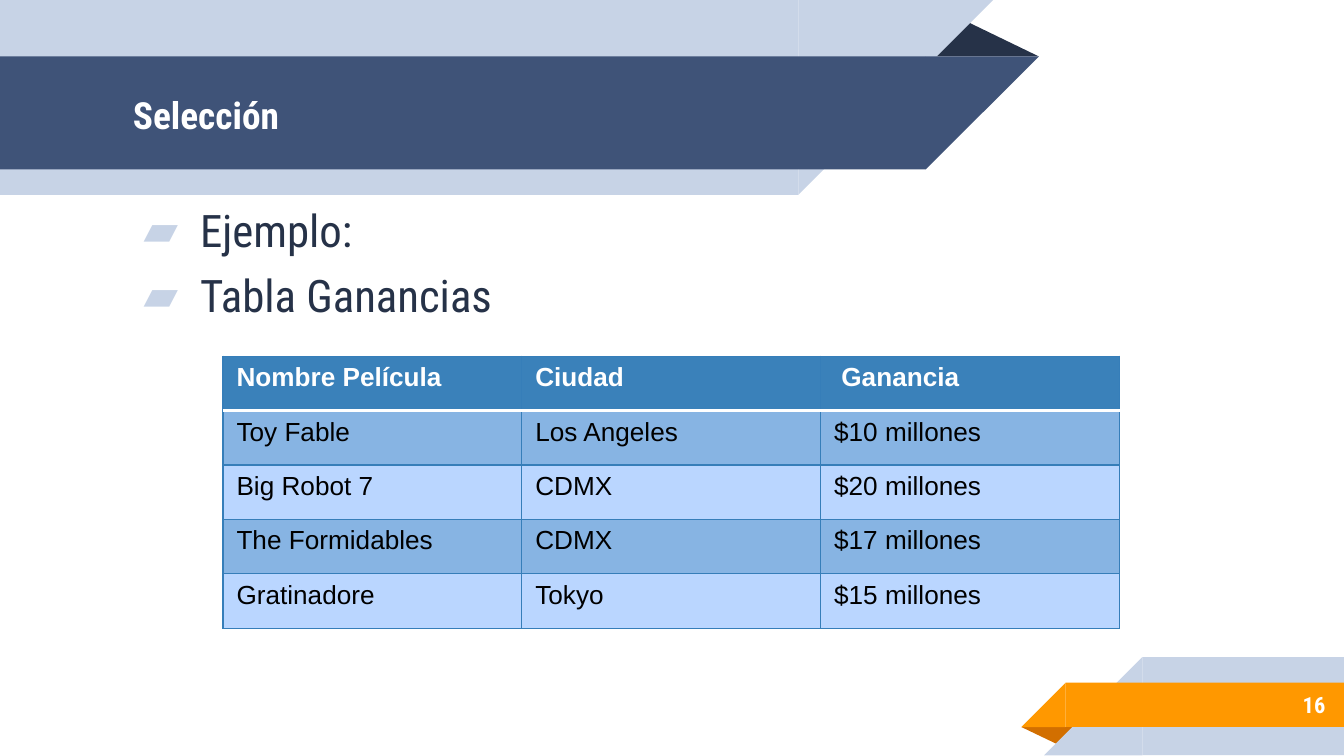
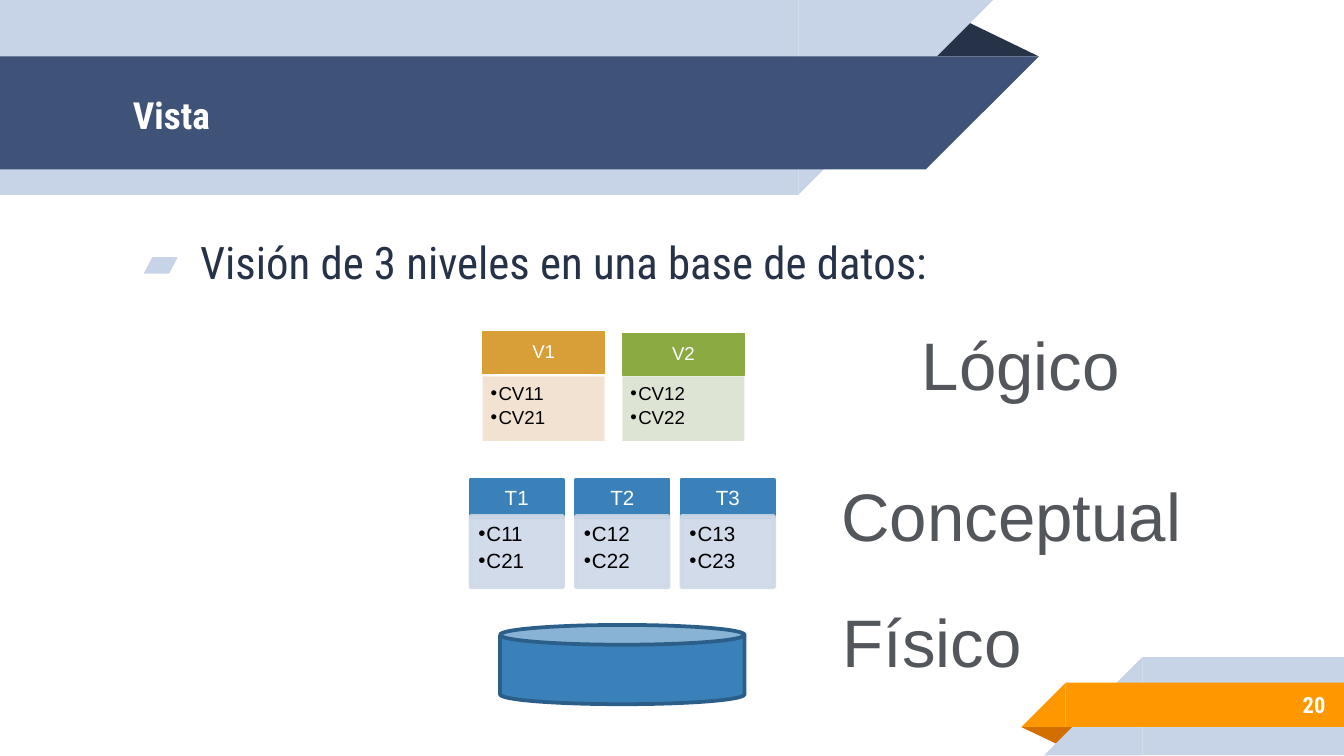
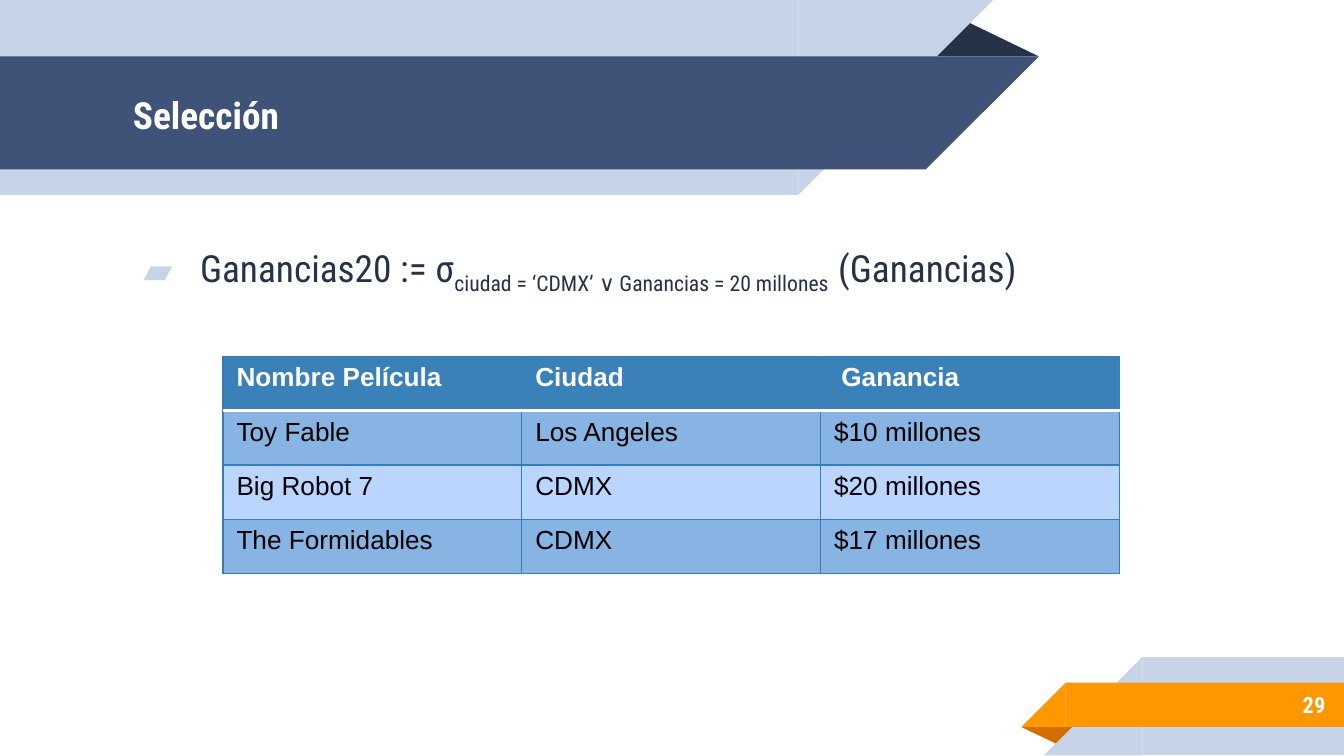
import pptx
import pptx.dml.color
import pptx.enum.shapes
import pptx.enum.text
import pptx.oxml
import pptx.oxml.ns
import pptx.util
from lxml import etree

Inches = pptx.util.Inches
Pt = pptx.util.Pt
MSO = pptx.enum.shapes.MSO_SHAPE
ANCHOR = pptx.enum.text.MSO_ANCHOR
ALIGN = pptx.enum.text.PP_ALIGN
qn = pptx.oxml.ns.qn

HEAD_FONT = "Roboto Condensed"
BODY_FONT = "Arial"
WHITE, BLACK, INK = "FFFFFF", "000000", "263248"
NAVY, PALE, ORANGE, RUST = "3F5378", "C7D3E6", "FF9800", "D26F00"
BLUE, BLUE_EDGE, CAN_EDGE = "3A81BA", "367EB9", "2B5F8A"
ROW_FILLS = ["87B4E3", "BAD6FF"]
PANEL, GRAY = "CED8E7", "53575C"

EARNINGS = [
    ["Nombre Película", "Ciudad", " Ganancia"],
    ["Toy Fable", "Los Angeles", "$10 millones"],
    ["Big Robot 7", "CDMX", "$20 millones"],
    ["The Formidables", "CDMX", "$17 millones"],
    ["Gratinadore", "Tokyo", "$15 millones"],
]


def rgb(value):
    return pptx.dml.color.RGBColor.from_string(value)


def set_alpha(fill_format, percent):
    color = fill_format._xPr.find(qn("a:solidFill"))[0]
    etree.SubElement(color, qn("a:alpha")).set("val", str(percent * 1000))


def add_block(shapes, kind, box, fill, line=None, width=0, alpha=100, flip=None):
    sp = shapes.add_shape(kind, *[Inches(v) for v in box])
    sp.shadow.inherit = False
    sp.fill.solid()
    sp.fill.fore_color.rgb = rgb(fill)
    if alpha < 100:
        set_alpha(sp.fill, alpha)
    if line:
        sp.line.color.rgb = rgb(line)
        sp.line.width = Pt(width)
    else:
        sp.line.fill.background()
    if flip:
        sp._element.spPr.find(qn("a:xfrm")).set(flip, "1")
    return sp


def set_frame(sp, insets, anchor=ANCHOR.MIDDLE, wrap=True):
    tf = sp.text_frame
    tf.word_wrap = wrap
    tf.vertical_anchor = anchor
    tf.margin_left, tf.margin_top, tf.margin_right, tf.margin_bottom = [
        Inches(v) for v in insets]
    return tf


def add_text(slide, box, insets, anchor=ANCHOR.MIDDLE, wrap=True):
    sp = slide.shapes.add_textbox(*[Inches(v) for v in box])
    return set_frame(sp, insets, anchor, wrap)


def add_run(p, text, size, color, font=BODY_FONT, bold=False, baseline=None):
    r = p.add_run()
    r.text = text
    r.font.size = Pt(size)
    r.font.name = font
    r.font.bold = bold
    r.font.color.rgb = rgb(color)
    if baseline:
        r.font._element.set("baseline", str(baseline * 1000))


def next_paragraph(tf, index):
    return tf.add_paragraph() if index else tf.paragraphs[0]


def set_bullet(p, char, color, font, left, hang):
    pPr = p._p.get_or_add_pPr()
    pPr.set("marL", str(Inches(left)))
    pPr.set("indent", str(-Inches(hang)))
    clr = etree.SubElement(pPr, qn("a:buClr"))
    etree.SubElement(clr, qn("a:srgbClr")).set("val", color)
    etree.SubElement(pPr, qn("a:buFont")).set("typeface", font)
    etree.SubElement(pPr, qn("a:buChar")).set("char", char)


def add_header_band(slide):
    shapes = slide.shapes.add_group_shape().shapes
    fold = add_block(shapes, MSO.ISOSCELES_TRIANGLE, (6.88, 0.14, 0.85, 0.28), INK)
    fold.adjustments[0] = 0.32
    for top, width, height, fill in [(0, 5.94, 1.45, PALE), (0.42, 6.89, 0.84, NAVY)]:
        add_block(shapes, MSO.RECTANGLE, (0, top, width, height), fill)
        add_block(shapes, MSO.RIGHT_TRIANGLE, (width, top, height, height), fill,
                  flip="flipV")


def add_footer_band(slide):
    shapes = slide.shapes.add_group_shape().shapes
    fold = add_block(shapes, MSO.ISOSCELES_TRIANGLE, (7.6, 5.41, 0.43, 0.14), RUST)
    fold.rotation = 180
    fold.adjustments[0] = 0.32
    for left, top, height, fill in [(8.5, 4.89, 0.73, PALE), (7.93, 5.08, 0.33, ORANGE)]:
        add_block(shapes, MSO.RECTANGLE, (left, top, 10 - left, height), fill)
        add_block(shapes, MSO.RIGHT_TRIANGLE, (left - height, top, height, height), fill,
                  flip="flipH")


def add_slide(prs, title, number):
    slide = prs.slides.add_slide(prs.slide_layouts[6])
    add_header_band(slide)
    add_footer_band(slide)
    insets = [0.1] * 4
    tf = add_text(slide, (0.89, 0.43, 6.01, 0.84), insets)
    add_run(tf.paragraphs[0], title, 20, WHITE, HEAD_FONT, True)
    p = add_text(slide, (8.33, 5.07, 1.63, 0.35), insets).paragraphs[0]
    p.alignment = ALIGN.RIGHT
    add_run(p, number, 12, WHITE, HEAD_FONT, True)
    return slide


def add_body(slide, lines, size, inset_top, width=6.71):
    tf = add_text(slide, (0.89, 1.45, width, 3.44), (0.1, inset_top, 0.1, 0.1), ANCHOR.TOP)
    for i, runs in enumerate(lines):
        p = next_paragraph(tf, i)
        p.space_before = Pt(6)
        set_bullet(p, "▰", PALE, HEAD_FONT, 0.5, 0.42)
        for text, baseline in runs:
            add_run(p, text, size, INK, HEAD_FONT, baseline=baseline)


def set_border(cell, side, color, width):
    tcPr = cell._tc.get_or_add_tcPr()
    ln = etree.SubElement(tcPr, qn("a:ln" + side))
    ln.set("w", str(Pt(width)))
    fill = etree.SubElement(ln, qn("a:solidFill"))
    etree.SubElement(fill, qn("a:srgbClr")).set("val", color)


def add_earnings_table(slide, rows):
    row_height = 0.405
    frame = slide.shapes.add_table(len(rows), 3, Inches(1.66), Inches(2.65),
                                   Inches(6.67), Inches(row_height * len(rows)))
    table = frame.table
    table.horz_banding = False
    for i, row in enumerate(rows):
        table.rows[i].height = Inches(row_height)
        for j, text in enumerate(row):
            cell = table.cell(i, j)
            for side in "LRTB":
                under_header = (i, side) in [(0, "B"), (1, "T")]
                set_border(cell, side, *((WHITE, 2) if under_header else (BLUE_EDGE, 0.75)))
            cell.fill.solid()
            cell.fill.fore_color.rgb = rgb(ROW_FILLS[(i - 1) % 2] if i else BLUE)
            add_run(cell.text_frame.paragraphs[0], text, 14, BLACK if i else WHITE,
                    bold=i == 0)


def add_card(shapes, name, fields, head_box, body_box, colors, size, line_width, edge):
    head_color, body_color = colors
    head = add_block(shapes, MSO.RECTANGLE, head_box, head_color, head_color, line_width)
    p = set_frame(head, (0.08, 0.04, 0.08, 0.04)).paragraphs[0]
    p.alignment = ALIGN.CENTER
    p.line_spacing = 0.9
    add_run(p, name, size, WHITE)
    body = add_block(shapes, MSO.RECTANGLE, body_box, body_color, edge, line_width, alpha=90)
    if edge:
        set_alpha(body.line.fill, 90)
    tf = set_frame(body, (0.06, 0.06, 0.08, 0.1), ANCHOR.TOP)
    for i, field in enumerate(fields):
        p = next_paragraph(tf, i)
        p.alignment = ALIGN.LEFT
        p.line_spacing = 0.9
        p.space_after = Pt(size * 0.2)
        set_bullet(p, "•", BLACK, BODY_FONT, 0.06, 0.06)
        add_run(p, field, size, BLACK)


def add_tables_level(slide):
    shapes = slide.shapes.add_group_shape().shapes
    for i in range(3):
        n, left = i + 1, 3.5 + 0.785 * i
        add_card(shapes, f"T{n}", [f"C1{n}", f"C2{n}"], (left, 3.57, 0.69, 0.28),
                 (left, 3.84, 0.69, 0.53), (BLUE, PANEL), 11, 2, PANEL)


def add_views_level(slide):
    shapes = slide.shapes.add_group_shape().shapes
    for i, colors in enumerate([("D89F39", "F0DFCE"), ("8BAB42", "DAE2CF")]):
        n, left = i + 1, 3.59 + 1.04 * i
        add_card(shapes, f"V{n}", [f"CV1{n}", f"CV2{n}"], (left, 2.47 + 0.01 * i, 0.91, 0.31),
                 (left, 2.8, 0.91, 0.48), colors, 10, 0.75, None)


def add_level_label(slide, text, box):
    tf = add_text(slide, box, (0.1, 0.05, 0.1, 0.05), ANCHOR.TOP, wrap=False)
    tf.auto_size = pptx.enum.text.MSO_AUTO_SIZE.SHAPE_TO_FIT_TEXT
    p = tf.paragraphs[0]
    p.alignment = ALIGN.CENTER
    add_run(p, text, 36, GRAY)


def main():
    prs = pptx.Presentation()
    prs.slide_width = Inches(10)
    prs.slide_height = Inches(10) * 9 // 16

    slide = add_slide(prs, "Selección", "16")
    add_body(slide, [[("Ejemplo:", None)], [("Tabla Ganancias", None)]], 24, 0.06)
    add_earnings_table(slide, EARNINGS)

    slide = add_slide(prs, "Vista", "20")
    add_body(slide, [[("Visión de 3 niveles en una base de datos:", None)]], 24, 0.3)
    add_block(slide.shapes, MSO.CAN, (3.72, 4.65, 1.82, 0.59), BLUE, CAN_EDGE, 2)
    add_tables_level(slide)
    add_views_level(slide)
    add_level_label(slide, "Lógico", (6.75, 2.36, 1.69, 0.71))
    add_level_label(slide, "Conceptual", (6.15, 3.48, 2.75, 0.71))
    add_level_label(slide, "Físico", (6.16, 4.42, 1.55, 0.71))

    slide = add_slide(prs, "Selección", "29")
    add_body(slide, [[("Ganancias20 := σ", None),
                      ("ciudad = ‘CDMX’ ∨ Ganancias = 20 millones", -25),
                      (" (Ganancias)", None)]], 20, 0.47, 7.96)
    add_earnings_table(slide, EARNINGS[:4])

    prs.save("out.pptx")


if __name__ == "__main__":
    main()
